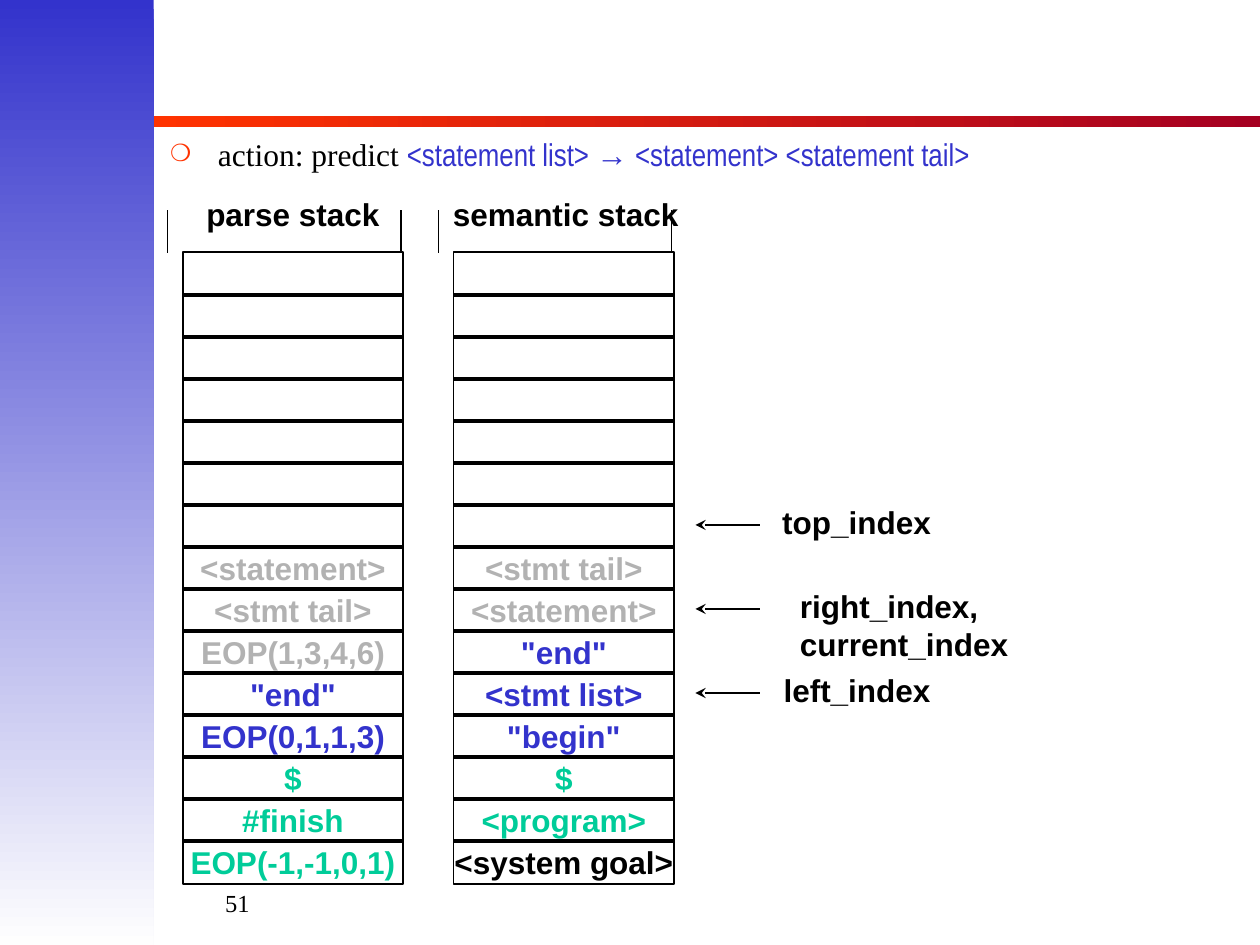
import pptx
import pptx.chart.data
import pptx.dml.color
import pptx.enum.shapes
import pptx.enum.text
import pptx.oxml
import pptx.oxml.ns
import pptx.util
from pptx.util import Inches

RGBColor = pptx.dml.color.RGBColor
BLACK = RGBColor(0x00, 0x00, 0x00)
GRAY = RGBColor(0xB2, 0xB2, 0xB2)
BLUE = RGBColor(0x33, 0x33, 0xCC)
GREEN = RGBColor(0x00, 0xCC, 0x99)
ORANGE = RGBColor(0xFF, 0x33, 0x00)
DARK_RED = RGBColor(0xA5, 0x00, 0x21)
NEAR_WHITE = RGBColor(0xFE, 0xFE, 0xFE)

ALIGN = pptx.enum.text.PP_ALIGN
RECTANGLE = pptx.enum.shapes.MSO_SHAPE.RECTANGLE
STRAIGHT = pptx.enum.shapes.MSO_CONNECTOR.STRAIGHT

STACK_TOP = 2
ROW_COUNT = 15
ROW_PITCH = 1 / 3
CELL_WIDTH, CELL_HEIGHT = 1.75, 0.35

# Entries fill each stack from the bottom; the rows above stay empty.
PARSE_STACK = [
    ("<statement>", GRAY), ("<stmt tail>", GRAY), ("EOP(1,3,4,6)", GRAY),
    ('"end"', BLUE), ("EOP(0,1,1,3)", BLUE),
    ("$", GREEN), ("#finish", GREEN), ("EOP(-1,-1,0,1)", GREEN),
]
SEMANTIC_STACK = [
    ("<stmt tail>", GRAY), ("<statement>", GRAY), ('"end"', BLUE),
    ("<stmt list>", BLUE), ('"begin"', BLUE),
    ("$", GREEN), ("<program>", GREEN), ("<system goal>", BLACK),
]
# Label, row it points at, left and width of its box
INDEXES = [
    ("top_index", 6, 6.11, 1.38),
    ("right_index, current_index", 8, 6.25, 3.25),
    ("left_index", 10, 6.12, 1.39),
]


def style_span(span, color, name="Arial", size=18, bold=False):
    span.font.name = name
    span.font.size = pptx.util.Pt(size)
    span.font.bold = bold
    span.font.color.rgb = color


def write_text(shape, text, color=BLACK, align=ALIGN.LEFT, wrap=True, **font):
    shape.text_frame.text = text
    shape.text_frame.word_wrap = wrap
    para = shape.text_frame.paragraphs[0]
    para.alignment = align
    style_span(para.runs[0], color, **font)


def add_label(page, text, left, top, width, height=0.4, **style):
    box = page.shapes.add_textbox(Inches(left), Inches(top), Inches(width), Inches(height))
    write_text(box, text, **style)


def add_gradient(page, left, top, width, height, start, end, angle):
    band = page.shapes.add_shape(
        RECTANGLE, Inches(left), Inches(top), Inches(width), Inches(height))
    band.shadow.inherit = False
    band.line.fill.background()
    band.fill.gradient()
    band.fill.gradient_angle = angle
    for stop, color in zip(band.fill.gradient_stops, (start, end)):
        stop.color.rgb = color


def add_line(page, x1, y1, x2, y2, arrow=False):
    line = page.shapes.add_connector(
        STRAIGHT, Inches(x1), Inches(y1), Inches(x2), Inches(y2))
    line.line.color.rgb = BLACK
    line.line.width = pptx.util.Pt(1)
    if arrow:
        outline = line.line._get_or_add_ln()
        tail = pptx.oxml.ns.qn("a:tailEnd")
        outline.append(outline.makeelement(tail, {"type": "stealth"}))
    properties = line._element.spPr
    properties.append(properties.makeelement(pptx.oxml.ns.qn("a:effectLst"), {}))


def add_action(page, left, top, width, height):
    """Place the bulleted action line in the body placeholder."""
    body = page.placeholders[1]
    body.left, body.top = Inches(left), Inches(top)
    body.width, body.height = Inches(width), Inches(height)
    body.text_frame.auto_size = pptx.enum.text.MSO_AUTO_SIZE.NONE
    para = body.text_frame.paragraphs[0]
    para.line_spacing = 0.8
    para.space_before = pptx.util.Pt(0)
    properties = para._p.get_or_add_pPr()
    properties.set("marL", str(Inches(0.38)))
    properties.set("indent", str(-Inches(0.38)))
    namespace = pptx.oxml.ns.nsdecls("a")
    for bullet in (
        f'<a:buClr {namespace}><a:srgbClr val="{ORANGE}"/></a:buClr>',
        f'<a:buSzPct {namespace} val="75000"/>',
        f'<a:buChar {namespace} char="❍"/>',
    ):
        properties.append(pptx.oxml.parse_xml(bullet))
    for text, name, color in (
        ("action: predict ", "Times New Roman", BLACK),
        ("<statement list> ", "Arial Narrow", BLUE),
        ("→", "Arial", BLUE),
        (" <statement> <statement tail>", "Arial Narrow", BLUE),
    ):
        span = para.add_run()
        span.text = text
        style_span(span, color, name)


def add_stack(page, left, title, title_left, title_width, entries):
    empty_rows = [("", BLACK)] * (ROW_COUNT - len(entries))
    for row, (text, color) in enumerate(empty_rows + entries):
        cell = page.shapes.add_shape(
            RECTANGLE, Inches(left), Inches(STACK_TOP + row * ROW_PITCH),
            Inches(CELL_WIDTH), Inches(CELL_HEIGHT))
        cell.shadow.inherit = False
        cell.fill.background()
        cell.line.color.rgb = BLACK
        cell.line.width = pptx.util.Pt(1)
        if text:
            cell.text_frame.vertical_anchor = pptx.enum.text.MSO_ANCHOR.MIDDLE
            write_text(cell, text, color, ALIGN.CENTER, wrap=False, bold=True)
    for x in (left - 0.12, left + 1.73):
        add_line(page, x, STACK_TOP - 0.33, x, STACK_TOP + 0.01)
    add_label(page, title, title_left, STACK_TOP - 0.5, title_width,
              align=ALIGN.CENTER, bold=True)


def add_index(page, text, row, left, width):
    middle = STACK_TOP + (row + 0.5) * ROW_PITCH
    add_line(page, 6.03, middle, 5.52, middle, arrow=True)
    add_label(page, text, left, middle - 0.22, width, bold=True)


def main():
    deck = pptx.Presentation()
    deck.slide_width, deck.slide_height = Inches(10), Inches(7.5)
    page = deck.slides.add_slide(deck.slide_layouts[1])
    title = page.shapes.title._element
    title.getparent().remove(title)

    add_gradient(page, 1.2, 0.92, 8.8, 0.09, ORANGE, DARK_RED, 0)
    add_gradient(page, 0, 0, 1.22, 7.5, BLUE, NEAR_WHITE, 270)
    add_action(page, 1.25, 1.08, 8.75, 6.08)
    add_stack(page, 1.45, "parse stack", 1.45, 1.75, PARSE_STACK)
    add_stack(page, 3.6, "semantic stack", 3.47, 2.04, SEMANTIC_STACK)
    for index in INDEXES:
        add_index(page, *index)
    add_label(page, "51", 0, 7, 2.08, 0.5, align=ALIGN.RIGHT,
              name="Times New Roman", size=14)
    deck.save("out.pptx")


if __name__ == "__main__":
    main()
